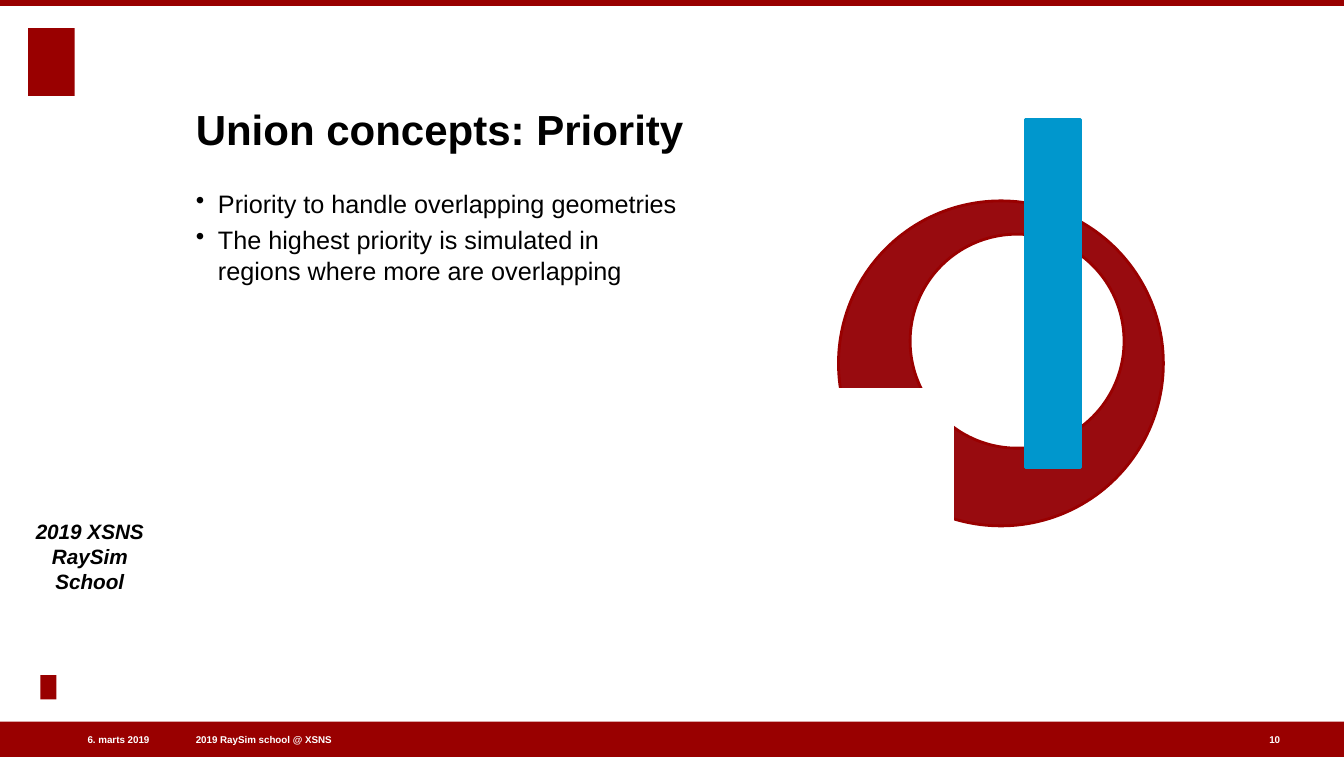
from pptx import Presentation
from pptx.dml.color import RGBColor
from pptx.enum.shapes import MSO_SHAPE
from pptx.enum.text import MSO_ANCHOR, PP_ALIGN
from pptx.oxml import parse_xml
from pptx.oxml.ns import nsdecls
from pptx.util import Inches, Pt

RECT, OVAL = MSO_SHAPE.RECTANGLE, MSO_SHAPE.OVAL
TOP, MID, BASE = MSO_ANCHOR.TOP, MSO_ANCHOR.MIDDLE, MSO_ANCHOR.BOTTOM
LEFT, MIDST, RIGHT = PP_ALIGN.LEFT, PP_ALIGN.CENTER, PP_ALIGN.RIGHT

WIDE, HIGH = 13.32, 7.5
MARGIN = 1.94  # left edge shared by title, body and footer
FOOT, FOOT_H = 7.26, 0.14
RED, WINE, BLUE = "990000", "980B0F", "0097CD"
WHITE, BLACK = "FFFFFF", "000000"


def rgb(code):
    return RGBColor.from_string(code)


def shape(slide, kind, box, fill, line=None):
    item = slide.shapes.add_shape(kind, *map(Inches, box))
    item.shadow.inherit = False
    item.fill.solid()
    item.fill.fore_color.rgb = rgb(fill)
    if line:
        item.line.color.rgb = rgb(line)
        item.line.width = Pt(2)
    else:
        item.line.fill.background()


def text(slide, box, lines, size, color=BLACK, bold=True, italic=False,
         align=LEFT, anchor=TOP, before=0, wrap=True):
    """Add a text box without insets and return its paragraphs."""
    frame = slide.shapes.add_textbox(*map(Inches, box)).text_frame
    frame.margin_left = frame.margin_right = 0
    frame.margin_top = frame.margin_bottom = 0
    frame.word_wrap = wrap
    frame.vertical_anchor = anchor
    frame.text = "\n".join(lines)
    for para in frame.paragraphs:
        para.alignment = align
        para.space_before = Pt(before)
        font = para.font
        font.name, font.size = "Arial", Pt(size)
        font.bold, font.italic = bold, italic
        font.color.rgb = rgb(color)
    return frame.paragraphs


def bullets(slide, box, lines):
    for para in text(slide, box, lines, 18, bold=False, before=4):
        props = para._p.get_or_add_pPr()
        props.set("marL", str(Inches(0.22)))
        props.set("indent", str(-Inches(0.22)))
        mark = parse_xml(f'<a:buChar {nsdecls("a")} char="•"/>')
        props.insert_element_before(mark, "a:tabLst", "a:defRPr", "a:extLst")


def footer(slide, left, width, words, align=LEFT, wrap=True):
    text(slide, (left, FOOT, width, FOOT_H), [words], 7, WHITE,
         align=align, anchor=MID, wrap=wrap)


def frame(slide):
    """Draw the bars, logo blocks, side label and footer."""
    shape(slide, RECT, (0.28, 0.28, 0.46, 0.67), RED)
    shape(slide, RECT, (0, HIGH - 0.35, WIDE, 0.35), RED)
    shape(slide, RECT, (0, 0, WIDE, 0.06), RED)
    shape(slide, RECT, (0.4, 6.69, 0.16, 0.24), RED)
    footer(slide, MARGIN, 3.72, "2019 RaySim school @ XSNS")
    footer(slide, 0.27, 1.21, "6. marts 2019", RIGHT)
    footer(slide, 12.58, 0.14, "10", wrap=False)
    text(slide, (0.34, 5.09, 1.1, 0.79), ["2019 XSNS\vRaySim School"], 14.8,
         italic=True, align=MIDST, anchor=BASE)


def figure(slide):
    """Draw the ring, the bar across it and the corner cut out of it."""
    shape(slide, OVAL, (8.31, 1.99, 3.22, 3.22), WINE, RED)
    shape(slide, OVAL, (9.02, 2.32, 2.12, 2.12), WHITE, RED)
    shape(slide, RECT, (10.16, 1.18, 0.55, 3.45), BLUE, BLUE)
    shape(slide, RECT, (8.09, 3.86, 1.35, 1.54), WHITE, WHITE)


def main():
    deck = Presentation()
    deck.slide_width, deck.slide_height = Inches(WIDE), Inches(HIGH)
    slide = deck.slides.add_slide(deck.slide_layouts[6])
    frame(slide)
    text(slide, (MARGIN, 0.47, 10.18, 1.06), ["Union concepts: Priority"], 30,
         anchor=BASE)
    bullets(slide, (MARGIN, 1.87, 4.82, 4.97), [
        "Priority to handle overlapping geometries",
        "The highest priority is simulated in regions where more are overlapping",
    ])
    figure(slide)
    deck.save("out.pptx")


if __name__ == "__main__":
    main()
